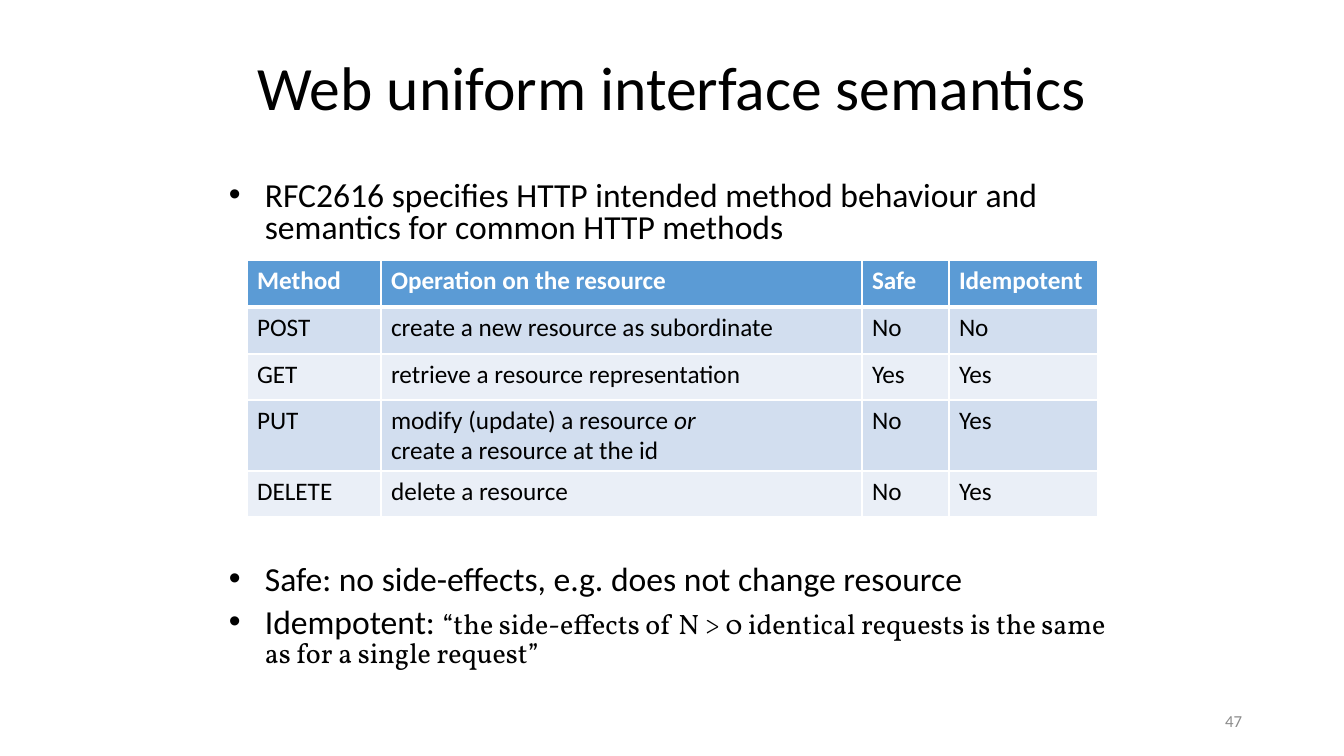
from dataclasses import dataclass

from lxml import etree
from pptx import Presentation
from pptx.dml.color import RGBColor
from pptx.enum.text import MSO_ANCHOR, PP_ALIGN
from pptx.oxml.ns import qn
from pptx.util import Pt

TOP, MIDDLE = MSO_ANCHOR.TOP, MSO_ANCHOR.MIDDLE
LEFT, CENTER, RIGHT = PP_ALIGN.LEFT, PP_ALIGN.CENTER, PP_ALIGN.RIGHT
SCALE = 914400 / 100.8


@dataclass(frozen=True)
class Theme:
    sans: str = "Calibri"
    serif: str = "Vollkorn"
    black: str = "000000"
    white: str = "FFFFFF"
    gray: str = "8C8C8C"
    head: str = "5B9BD5"
    bands: tuple = ("D2DEEF", "EAEFF7")
    title: int = 44
    body: int = 24
    quote: int = 20
    cell: int = 18
    note: int = 12
    lines: float = 0.81
    gap: int = 8


T = Theme()

INTRO = ["RFC2616 specifies HTTP intended method behaviour and "
         "semantics for common HTTP methods"]
TERMS = ["Safe: no side-effects, e.g. does not change resource", "Idempotent: "]
QUOTE = ("“the side-effects of N > 0 identical requests is the same "
         "as for a single request”")
WIDTHS = [134, 481, 87, 149]
HEIGHTS = [47, 47, 46, 71, 46]
ROWS = [
    ["Method", "Operation on the resource", "Safe", "Idempotent"],
    ["POST", "create a new resource as subordinate", "No", "No"],
    ["GET", "retrieve a resource representation", "Yes", "Yes"],
    ["PUT", "modify (update) a resource ", "No", "Yes"],
    ["DELETE", "delete a resource", "No", "Yes"],
]


def px(num):
    return round(num * SCALE)


def add_run(para, text, size, color=T.black, face=T.sans, bold=False, italic=False):
    run = para.add_run()
    run.text = text
    font = run.font
    font.size, font.name = Pt(size), face
    font.bold, font.italic = bold, italic
    font.color.rgb = RGBColor.from_string(color)


def add_box(slide, left, top, width, height, anchor=TOP):
    frame = slide.shapes.add_textbox(px(left), px(top), px(width), px(height)).text_frame
    frame.word_wrap = True
    frame.vertical_anchor = anchor
    return frame


def add_line(slide, box, text, size, color, align):
    para = add_box(slide, *box, MIDDLE).paragraphs[0]
    para.alignment = align
    add_run(para, text, size, color)
    return para


def add_list(slide, box, items):
    """Add a bulleted list and return its last paragraph."""
    frame = add_box(slide, *box)
    for num, item in enumerate(items):
        para = frame.add_paragraph() if num else frame.paragraphs[0]
        para.alignment, para.line_spacing = LEFT, T.lines
        if num:
            para.space_before = Pt(T.gap)
        props = para._p.get_or_add_pPr()
        props.set("marL", str(px(36)))
        props.set("indent", str(px(-36)))
        etree.SubElement(props, qn("a:buFont"), typeface="Arial")
        etree.SubElement(props, qn("a:buChar"), char="•")
        add_run(para, item, T.body)
    return para


def set_edges(cell, **widths):
    """Draw white cell borders; widths are points keyed by side."""
    props = cell._tc.get_or_add_tcPr()
    for num, side in enumerate("LRTB"):
        line = etree.Element(qn(f"a:ln{side}"), w=str(Pt(widths.get(side, 1))))
        fill = etree.SubElement(line, qn("a:solidFill"))
        etree.SubElement(fill, qn("a:srgbClr"), val=T.white)
        props.insert(num, line)


def add_grid(slide, left, top):
    table = slide.shapes.add_table(
        len(ROWS), len(WIDTHS), px(left), px(top), px(sum(WIDTHS)), px(sum(HEIGHTS))).table
    table.first_row = table.horz_banding = False
    for col, width in zip(table.columns, WIDTHS):
        col.width = px(width)
    for row, height in zip(table.rows, HEIGHTS):
        row.height = px(height)
    for r, texts in enumerate(ROWS):
        for c, text in enumerate(texts):
            cell = table.cell(r, c)
            cell.fill.solid()
            back = T.bands[(r - 1) % 2] if r else T.head
            cell.fill.fore_color.rgb = RGBColor.from_string(back)
            set_edges(cell, T=3 if r == 1 else 1, B=1 if r else 3)
            add_run(cell.text_frame.paragraphs[0], text, T.cell,
                    T.black if r else T.white, bold=not r)
    return table


def main():
    deck = Presentation()
    deck.slide_width, deck.slide_height = px(1344), px(756)
    slide = deck.slides.add_slide(deck.slide_layouts[6])

    title = add_line(slide, (219, 28, 906, 130), "Web uniform interface semantics",
                     T.title, T.black, CENTER)
    title.line_spacing = T.lines

    add_list(slide, (219, 176, 906, 80), INTRO)
    last = add_list(slide, (219, 560, 906, 130), TERMS)
    add_run(last, QUOTE, T.quote, face=T.serif)

    put = add_grid(slide, 247, 260).cell(3, 1).text_frame
    add_run(put.paragraphs[0], "or", T.cell, italic=True)
    add_run(put.add_paragraph(), "create a resource at the id", T.cell)

    add_line(slide, (950, 701, 302, 40), "47", T.note, T.gray, RIGHT)
    deck.save("out.pptx")


if __name__ == "__main__":
    main()
